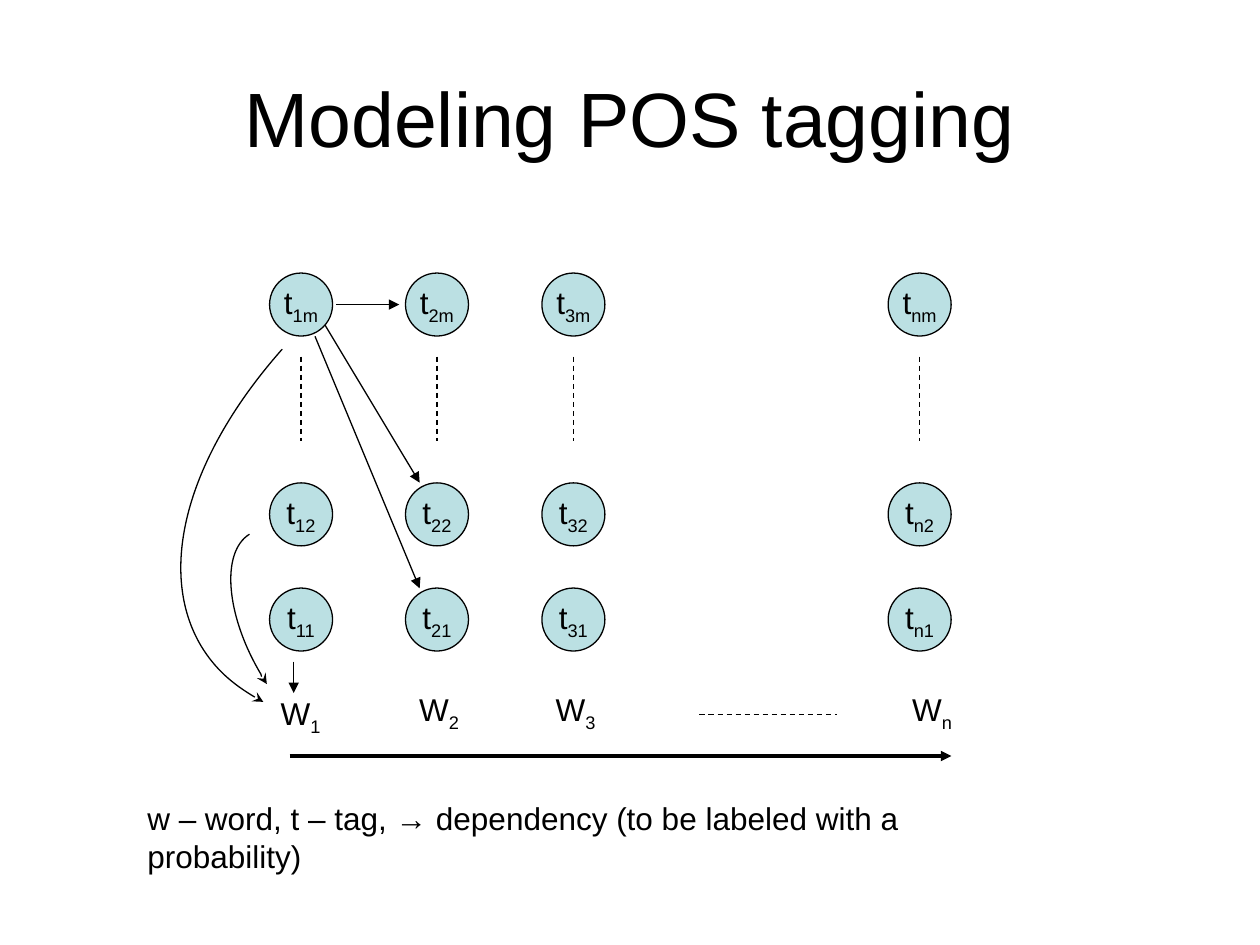
"""Build the slide that models POS tagging as a lattice of tags over words."""
from lxml import etree
from pptx import Presentation
from pptx import util as u
from pptx.dml.color import RGBColor
from pptx.enum import dml, shapes, text
from pptx.oxml.ns import qn

COLORS = {"ink": "000000", "tag": "BBE0E3"}
FONT = "Arial"
TITLE = "Modeling POS tagging"
LEGEND = "w – word, t – tag, → dependency (to be labeled with a probability)"

DIAMETER = 1.27
COLUMNS = {"1": 6.07, "2": 8.81, "3": 11.56, "n": 18.54}
ROWS = {"m": 6.14, "2": 10.37, "1": 12.49}
WORDS = [("1", 5.41, 13.87), ("2", 8.2, 13.79), ("3", 10.95, 13.79), ("n", 18.14, 13.79)]
GAP_TOP, GAP_BOTTOM = 7.19, 8.89
WORD_GAP = (14.1, 14.4, 16.87, 14.4)
TIME_ARROW = (5.84, 15.24, 19.18, 15.24)
ARROWS = [
    (6.78, 6.14, 8.05, 6.14),
    (6.55, 6.55, 8.46, 9.73),
    (6.35, 6.78, 8.46, 11.86),
    (5.92, 13.34, 5.92, 13.97),
]
CURVES = [
    [(5.38, 13.79), (5.33, 13.72), (5.28, 13.67), (5.26, 13.59),
     (4.55, 12.4), (4.45, 11.13), (5.03, 10.77)],
    [(5.31, 14.15), (4.78, 13.87), (4.34, 13.49), (4.06, 13.03),
     (3.15, 11.51), (3.76, 9.22), (5.69, 7.04)],
]


def rgb(name):
    return RGBColor.from_string(COLORS[name])


def write(sp, content, size=18, sub="", center=False, middle=False):
    tf = sp.text_frame
    tf.text = content
    tf.word_wrap = False
    if middle:
        tf.vertical_anchor = text.MSO_ANCHOR.MIDDLE
    p = tf.paragraphs[0]
    p.alignment = text.PP_ALIGN.CENTER if center else text.PP_ALIGN.LEFT
    if sub:
        r = p.add_run()
        r.text = sub
        r.font._element.set("baseline", "-25000")
    for r in p.runs:
        r.font.size = u.Pt(size)
        r.font.name = FONT
        r.font.color.rgb = rgb("ink")


def add_text(s, box, content, **style):
    sp = s.shapes.add_textbox(*map(u.Cm, box))
    write(sp, content, **style)
    return sp


def add_label(s, box, content, **style):
    sp = add_text(s, box, content, **style)
    sp.text_frame.auto_size = text.MSO_AUTO_SIZE.SHAPE_TO_FIT_TEXT


def set_line(sp, width=0.75, dashed=False, end=None, head="triangle"):
    sp.line.color.rgb = rgb("ink")
    sp.line.width = u.Pt(width)
    if dashed:
        sp.line.dash_style = dml.MSO_LINE.DASH
    if end:
        ln = sp._element.spPr.find(qn("a:ln"))
        etree.SubElement(ln, qn(f"a:{end}"), type=head)


def add_line(s, ends, **style):
    sp = s.shapes.add_connector(shapes.MSO_CONNECTOR.STRAIGHT, *map(u.Cm, ends))
    set_line(sp, **style)
    etree.SubElement(sp._element.spPr, qn("a:effectLst"))


def add_tag(s, x, y, sub):
    left, top = x - DIAMETER / 2, y - DIAMETER / 2
    sp = s.shapes.add_shape(shapes.MSO_SHAPE.OVAL, u.Cm(left), u.Cm(top),
                            u.Cm(DIAMETER), u.Cm(DIAMETER))
    sp.shadow.inherit = False
    sp.fill.solid()
    sp.fill.fore_color.rgb = rgb("tag")
    set_line(sp)
    write(sp, "t", sub=sub, center=True, middle=True)


def add_curve(s, points):
    start, *rest = [(u.Cm(x), u.Cm(y)) for x, y in points]
    builder = s.shapes.build_freeform(*start)
    builder.add_line_segments(rest, close=False)
    sp = builder.convert_to_shape()
    outline = next(sp._element.iter(qn("a:path")))
    steps = outline.findall(qn("a:lnTo"))
    for i in range(0, len(steps), 3):
        bezier = etree.SubElement(outline, qn("a:cubicBezTo"))
        for step in steps[i:i + 3]:
            bezier.append(step[0])
            outline.remove(step)
    sp.shadow.inherit = False
    sp.fill.background()
    set_line(sp, end="headEnd", head="stealth")


def main():
    prs = Presentation()
    prs.slide_width, prs.slide_height = u.Cm(25.4), u.Cm(19.05)
    s = prs.slides.add_slide(prs.slide_layouts[6])

    title = add_text(s, (1.27, 0.76, 22.86, 3.18), TITLE, size=44, center=True, middle=True)
    title.text_frame.word_wrap = True
    for sub, left, top in WORDS:
        add_label(s, (left, top, 1.32, 1.12), "W", sub=sub)
    add_line(s, TIME_ARROW, width=2, end="tailEnd")
    add_line(s, WORD_GAP, dashed=True)

    for word, x in COLUMNS.items():
        for tag, y in ROWS.items():
            add_tag(s, x, y, word + tag)
        add_line(s, (x, GAP_TOP, x, GAP_BOTTOM), dashed=True)

    for ends in ARROWS:
        add_line(s, ends, end="tailEnd")
    for points in CURVES:
        add_curve(s, points)
    add_label(s, (2.72, 15.98, 18.92, 1.02), LEGEND)
    prs.save("out.pptx")


if __name__ == "__main__":
    main()
